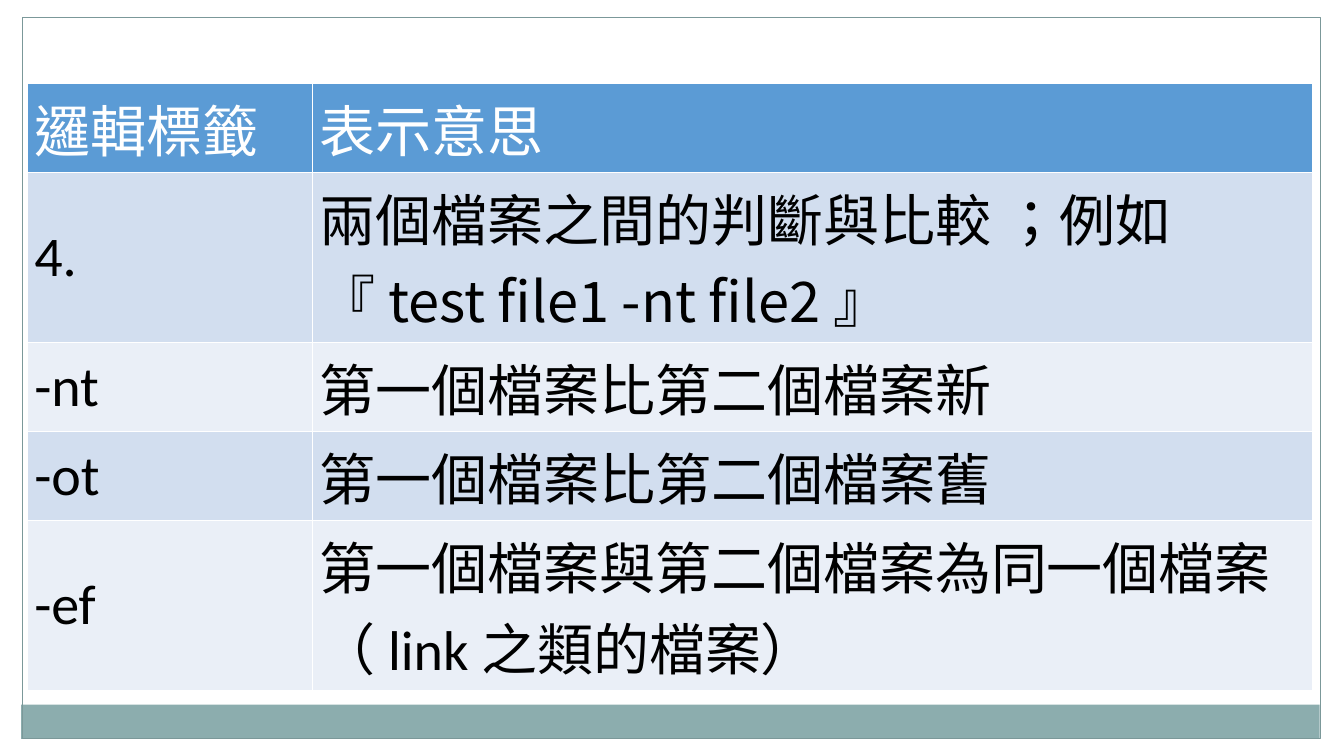
from dataclasses import dataclass

from pptx import Presentation
from pptx.dml.color import RGBColor
from pptx.enum.lang import MSO_LANGUAGE_ID
from pptx.enum.shapes import MSO_SHAPE
from pptx.enum.text import MSO_ANCHOR
from pptx.text.text import Font
from pptx.util import Inches, Pt

RECTANGLE = MSO_SHAPE.RECTANGLE
MIDDLE = MSO_ANCHOR.MIDDLE
CHINESE = MSO_LANGUAGE_ID.TRADITIONAL_CHINESE


@dataclass(frozen=True)
class Theme:
    header: str = "5B9BD5"
    bands: tuple[str, str] = ("D2DEEF", "EAEFF7")
    header_text: str = "FFFFFF"
    body_text: str = "000000"
    margin: str = "FFFFFF"
    footer: str = "8CADAE"
    frame: str = "7B9899"
    font: str = "Calibri"
    cjk_font: str = "Noto Sans CJK TC"
    size: int = 40


@dataclass(frozen=True)
class Panel:
    left: float
    top: float
    width: float
    height: float
    fill: str | None = None
    line: str | None = None


@dataclass(frozen=True)
class Part:
    text: str
    font: str


@dataclass(frozen=True)
class Row:
    height: float
    label: str
    meaning: tuple[Part, ...]


THEME = Theme()
PANELS = (
    Panel(0, 0, 13.33, 0.17, fill=THEME.margin),
    Panel(13.11, 0, 0.22, 7.5, fill=THEME.margin),
    Panel(0, 0, 0.22, 7.5, fill=THEME.margin),
    Panel(0.21, 6.99, 12.88, 0.34, fill=THEME.footer),
    Panel(0.22, 0.17, 12.88, 7.16, line=THEME.frame),
)
COLUMNS = (2.83, 9.92)
ROWS = (
    Row(0.42, "邏輯標籤", (Part("表示意思", THEME.font),)),
    Row(0.78, "4.", (
        Part("兩個檔案之間的判斷與比較 ；例如", THEME.font),
        Part("『 test file1 -nt file2 ", THEME.cjk_font),
        Part("』", THEME.font),
    )),
    Row(0.42, "-nt", (Part("第一個檔案比第二個檔案新", THEME.font),)),
    Row(0.42, "-ot", (Part("第一個檔案比第二個檔案舊", THEME.font),)),
    Row(0.78, "-ef", (Part("第一個檔案與第二個檔案為同一個檔案（ link 之類的檔案）", THEME.font),)),
)


def draw_panel(shapes, panel: Panel) -> None:
    """Draw a rectangle with an optional fill and outline."""
    sp = shapes.add_shape(RECTANGLE, Inches(panel.left), Inches(panel.top),
                          Inches(panel.width), Inches(panel.height))
    sp.shadow.inherit = False
    if panel.fill:
        sp.fill.solid()
        sp.fill.fore_color.rgb = RGBColor.from_string(panel.fill)
    else:
        sp.fill.background()
    if panel.line:
        sp.line.color.rgb = RGBColor.from_string(panel.line)
        sp.line.width = Pt(0.75)
    else:
        sp.line.fill.background()


def style_font(font: Font, name: str, color: str) -> None:
    """Set the typeface, size, language and colour of a font."""
    font.name = name
    font.size = Pt(THEME.size)
    font.bold = False
    font.language_id = CHINESE
    font.color.rgb = RGBColor.from_string(color)


def fill_cell(cell, parts: tuple[Part, ...], fill: str, color: str) -> None:
    """Write styled text into a table cell."""
    cell.fill.solid()
    cell.fill.fore_color.rgb = RGBColor.from_string(fill)
    cell.vertical_anchor = MIDDLE
    cell.margin_left = cell.margin_right = Inches(0.07)
    cell.margin_top = cell.margin_bottom = Inches(0.04)
    p = cell.text_frame.paragraphs[0]
    for part in parts:
        r = p.add_run()
        r.text = part.text
        if len(parts) > 1:
            style_font(r.font, part.font, color)
    if len(parts) == 1:
        style_font(p.font, parts[0].font, color)


def draw_table(shapes) -> None:
    """Draw the table of file comparison flags."""
    frame = shapes.add_table(len(ROWS), len(COLUMNS), Inches(0.27), Inches(0.83),
                             Inches(sum(COLUMNS)), Inches(5.04))
    table = frame.table
    for column, width in zip(table.columns, COLUMNS):
        column.width = Inches(width)
    for i, row in enumerate(ROWS):
        table.rows[i].height = Inches(row.height)
        fill = THEME.bands[(i - 1) % 2] if i else THEME.header
        color = THEME.body_text if i else THEME.header_text
        fill_cell(table.cell(i, 0), (Part(row.label, THEME.font),), fill, color)
        fill_cell(table.cell(i, 1), row.meaning, fill, color)


def main() -> None:
    """Build and save the slide."""
    prs = Presentation()
    prs.slide_width, prs.slide_height = Inches(13.33), Inches(7.5)
    s = prs.slides.add_slide(prs.slide_layouts[6])
    for panel in PANELS:
        draw_panel(s.shapes, panel)
    draw_table(s.shapes)
    prs.save("out.pptx")


if __name__ == "__main__":
    main()
